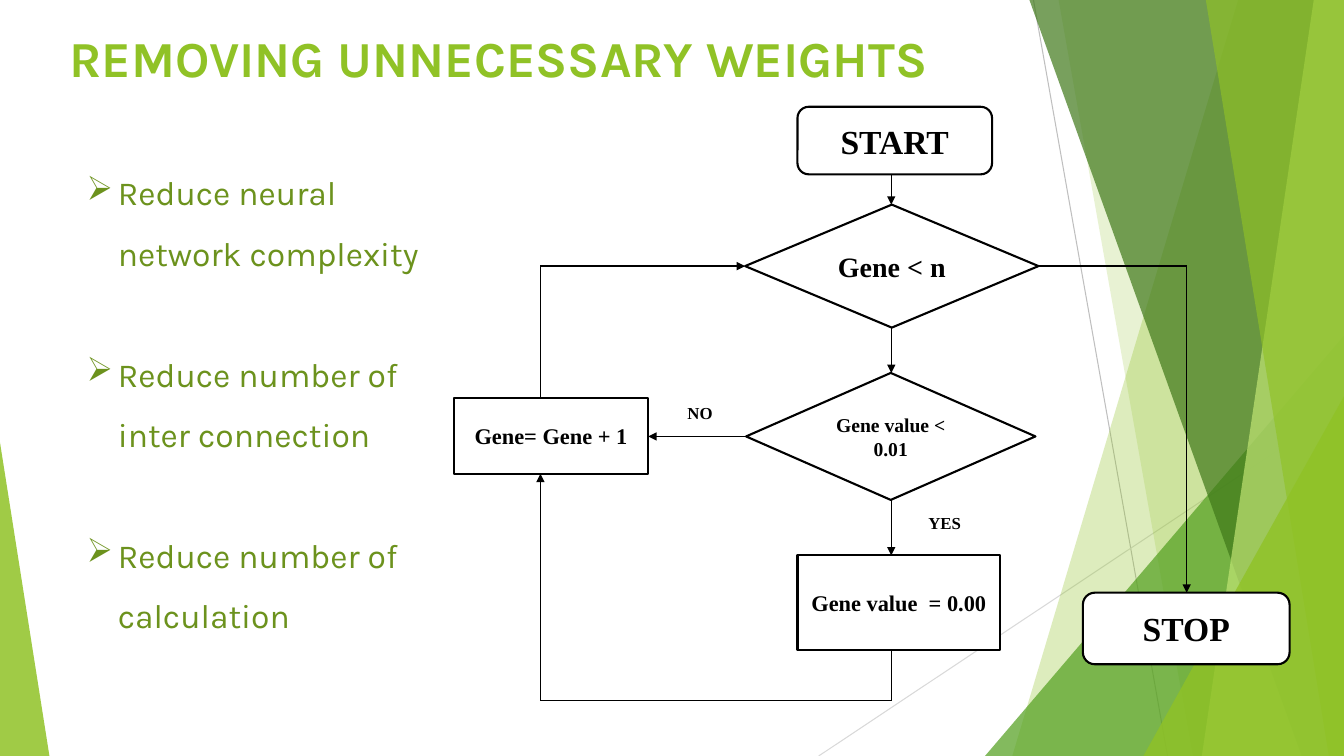
from pptx import Presentation
from pptx.util import Inches, Pt
from pptx.dml.color import RGBColor
from pptx.enum.shapes import MSO_SHAPE as Kind, MSO_CONNECTOR as Link
from pptx.enum.text import PP_ALIGN as Align, MSO_ANCHOR as Anchor
from pptx.oxml.ns import qn
from lxml.etree import SubElement as Sub


class Theme:
    lime, moss, leaf, pine, mint = "90C226", "6C921D", "54A021", "3F7819", "C0E474"
    ink, paper, gray, pale = "000000", "FFFFFF", "BFBFBF", "D9D9D9"
    sans, serif = "Karla", "Times New Roman"
    title, body, end, test, step, check, label = 36, 24, 24, 20, 16, 14, 12
    edge, wire, hair = 1.5, 1, 0.75


def rgb(code):
    return RGBColor.from_string(code)


def style(para, size, font, color, bold=False):
    for run in para.runs:
        face = run.font
        face.size, face.name, face.bold = Pt(size), font, bold
        face.color.rgb = rgb(color)


def paint(shape, color, alpha=100, edge=None, width=0.5):
    shape.shadow.inherit = False
    shape.fill.solid()
    shape.fill.fore_color.rgb = rgb(color)
    if alpha < 100:
        tone = shape._element.spPr.find(".//" + qn("a:srgbClr"))
        Sub(tone, qn("a:alpha"), val=str(alpha * 1000))
    if edge:
        shape.line.color.rgb = rgb(edge)
        shape.line.width = Pt(width)
    else:
        shape.line.fill.background()


def wire(slide, start, stop, color, width, arrow=False):
    line = slide.shapes.add_connector(
        Link.STRAIGHT, *[Inches(v) for v in (*start, *stop)])
    line.line.color.rgb = rgb(color)
    line.line.width = Pt(width)
    if arrow:
        Sub(line.line._get_or_add_ln(), qn("a:tailEnd"), type="triangle")
    Sub(line._element.spPr, qn("a:effectLst"))


def place(slide, kind, box, spot):
    left, top, wide, high = spot
    return slide.shapes.add_shape(
        kind, Inches(box[0] + left), Inches(box[1] + top), Inches(wide), Inches(high))


def backdrop(slide, box):
    x, y, wide, high = box
    right, base = x + wide, y + high
    wire(slide, (x + 10.25, y), (x + 11.58, base), Theme.gray, Theme.hair)
    wire(slide, (right, y + 4.03), (x + 8.12, base), Theme.pale, Theme.hair)

    # Facets reach the right edge: top x, base x, colour, opacity
    def facet(top, foot, color, alpha):
        pen = slide.shapes.build_freeform(Inches(x + top), Inches(y), scale=1.0)
        ends = [(right, y), (right, base), (x + foot, base)]
        pen.add_line_segments([(Inches(a), Inches(b)) for a, b in ends], close=True)
        paint(pen.convert_to_shape(), color, alpha)

    # Wedges stand on the base: left, width, height, apex side, colour, opacity
    def wedge(left, span, tall, apex, color, alpha):
        spot = (left, high - tall, span, tall)
        shape = place(slide, Kind.ISOSCELES_TRIANGLE, box, spot)
        shape.adjustments[0] = apex
        paint(shape, color, alpha)

    facet(12.28, 10.04, Theme.lime, 30)
    facet(10.5, 11.83, Theme.lime, 20)
    wedge(9.77, 3.56, 4.17, 1, Theme.leaf, 72)
    facet(10.21, 12.91, Theme.pine, 70)
    facet(13.03, 11.92, Theme.mint, 70)
    facet(11.96, 13.18, Theme.lime, 65)
    wedge(11.34, 1.99, 3.57, 1, Theme.lime, 80)
    wedge(0, 0.49, 3.11, 0, Theme.lime, 85)


def frame(slide, box):
    text = slide.shapes.add_textbox(*[Inches(v) for v in box]).text_frame
    text.word_wrap = True
    return text


def heading(slide, box):
    text = frame(slide, box)
    text.text = "REMOVING UNNECESSARY WEIGHTS"
    style(text.paragraphs[0], Theme.title, Theme.sans, Theme.lime, True)


def points(slide, box, items):
    text = frame(slide, box)
    text.text = "\n".join(items)
    for n, para in enumerate(text.paragraphs):
        style(para, Theme.body, Theme.sans, Theme.moss)
        para.line_spacing = 1.5
        para.space_before = Pt(43 if n else 0)
        props = para._p.get_or_add_pPr()
        props.set("marL", str(Inches(0.31)))
        props.set("indent", str(-Inches(0.31)))
        Sub(props, qn("a:buChar"), char="➢")


def flow(slide, box):
    x, y = box[:2]
    mid, loop, exit = 4.34, 0.86, 7.27   # vertical tracks
    row, side, floor = 1.58, 3.27, 5.89  # horizontal tracks

    # Steps and tests
    nodes = [
        ("START", Kind.ROUNDED_RECTANGLE, (3.41, 0, 1.93, 0.67), Theme.end),
        ("Gene < n", Kind.DIAMOND, (2.89, 0.97, 2.91, 1.22), Theme.test),
        ("Gene value < 0.01", Kind.DIAMOND, (2.9, 2.64, 2.87, 1.26), Theme.check),
        ("Gene value  = 0.00", Kind.RECTANGLE, (3.41, 4.45, 2.01, 0.94), Theme.step),
        ("Gene= Gene + 1", Kind.RECTANGLE, (0, 2.89, 1.93, 0.75), Theme.step),
        ("STOP", Kind.ROUNDED_RECTANGLE, (6.24, 4.82, 2.05, 0.71), Theme.end),
    ]
    for name, kind, spot, size in nodes:
        node = place(slide, kind, box, spot)
        paint(node, Theme.paper, edge=Theme.ink, width=Theme.edge)
        text = node.text_frame
        text.text = name
        text.word_wrap = True
        text.vertical_anchor = Anchor.MIDDLE
        text.paragraphs[0].alignment = Align.CENTER
        style(text.paragraphs[0], size, Theme.serif, Theme.ink, True)

    # Branch labels
    for name, spot in [("YES", (4.61, 3.98, 0.56, 0.31)),
                       ("NO", (2.22, 2.89, 0.45, 0.26))]:
        tag = place(slide, Kind.RECTANGLE, box, spot)
        paint(tag, Theme.paper, edge=Theme.paper)
        text = tag.text_frame
        text.text = name
        text.word_wrap = True
        text.vertical_anchor = Anchor.TOP
        text.paragraphs[0].alignment = Align.LEFT
        style(text.paragraphs[0], Theme.label, Theme.serif, Theme.ink, True)

    # Routes, each with an arrowhead at its end
    routes = [
        [(mid, 0.67), (mid, 0.97)],
        [(mid, 2.19), (mid, 2.64)],
        [(mid, 3.9), (mid, 4.45)],
        [(2.9, side), (1.93, side)],
        [(mid, 5.39), (mid, floor), (loop, floor), (loop, 3.64)],
        [(loop, 2.89), (loop, row), (2.89, row)],
        [(5.8, row), (exit, row), (exit, 4.82)],
    ]
    for route in routes:
        dots = [(x + a, y + b) for a, b in route]
        for start, stop in zip(dots, dots[1:]):
            wire(slide, start, stop, Theme.ink, Theme.wire, stop == dots[-1])


deck = Presentation()
deck.slide_width, deck.slide_height = Inches(13.33), Inches(7.5)
page = deck.slides.add_slide(deck.slide_layouts[6])
backdrop(page, (0, 0, 13.33, 7.5))
heading(page, (0.59, 0.22, 9.4, 1.44))
flow(page, (4.5, 1.06, 8.29, 5.93))
points(page, (0.76, 1.46, 3.59, 4.95), [
    "Reduce neural network complexity",
    "Reduce number of inter connection",
    "Reduce number of calculation",
])
deck.save("out.pptx")
